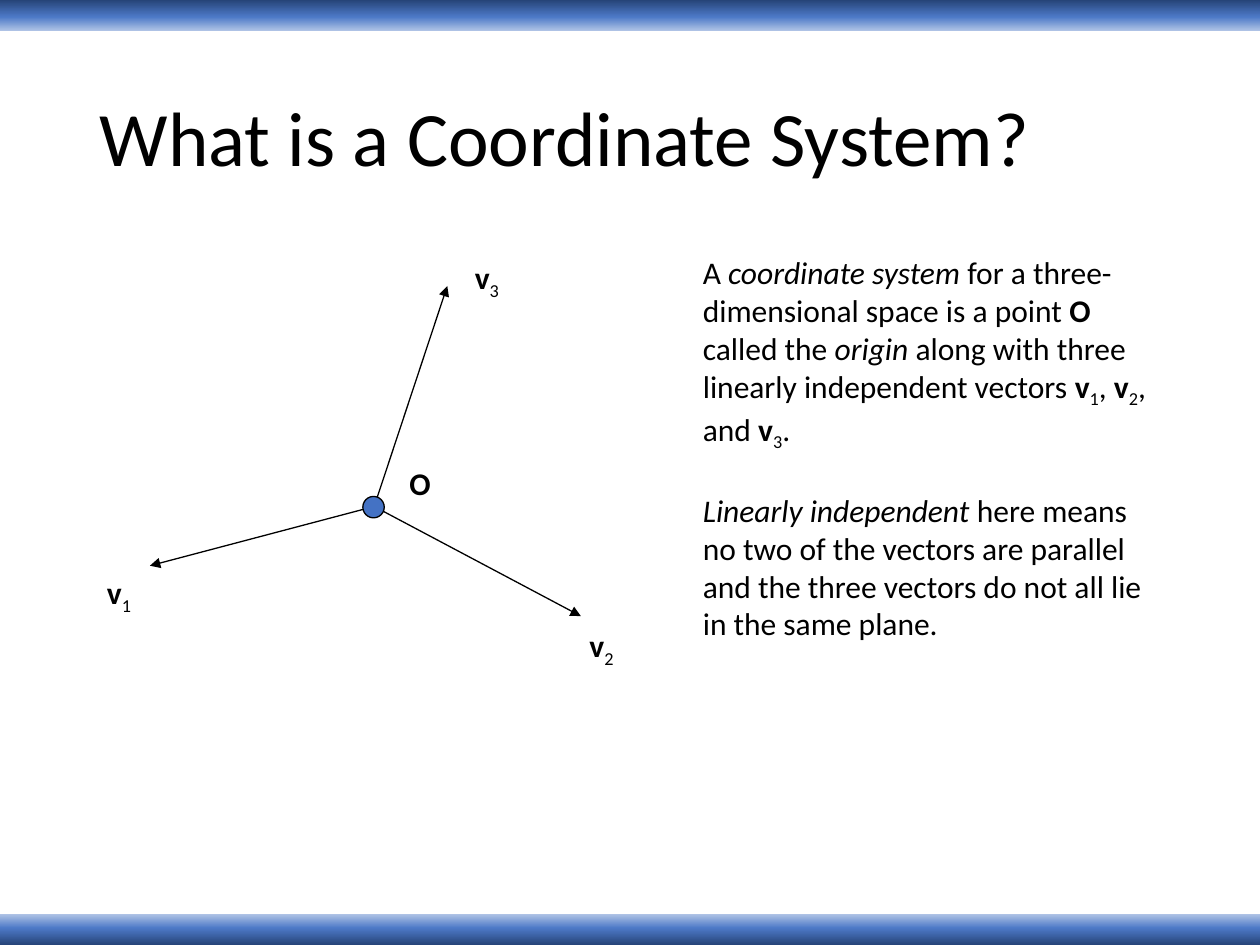
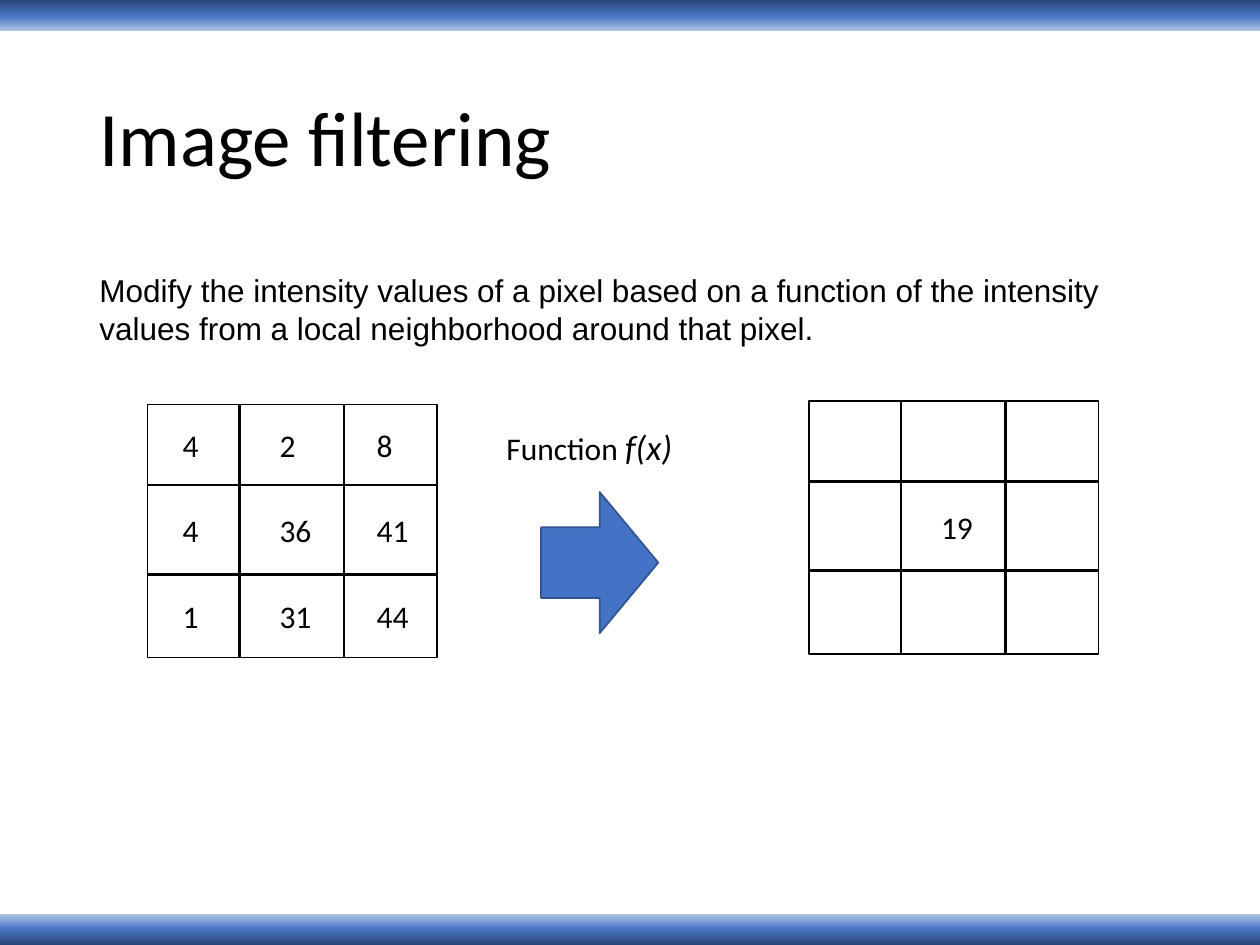
from copy import deepcopy
from pptx import Presentation
from pptx.dml.color import RGBColor
from pptx.enum.shapes import MSO_CONNECTOR, MSO_SHAPE
from pptx.enum.text import MSO_ANCHOR, MSO_AUTO_SIZE, PP_ALIGN
from pptx.util import Inches, Pt
from pptx.oxml import parse_xml
from pptx.oxml.ns import nsdecls

BLACK = RGBColor(0x00, 0x00, 0x00)
BLUE = RGBColor(0x44, 0x72, 0xC4)
ARROW_EDGE = RGBColor(0x32, 0x54, 0x91)
BAND_STOPS = [
    (0, RGBColor(0xB4, 0xC7, 0xE7)),
    (0.46, RGBColor(0x4D, 0x79, 0xC7)),
    (1, RGBColor(0x26, 0x44, 0x78)),
]
BODY_FONT = "Calibri"


def add_text(slide, box, paragraphs, wrap=True, font_name=BODY_FONT):
    frame = slide.shapes.add_textbox(*map(Inches, box)).text_frame
    frame.word_wrap = wrap
    frame.auto_size = MSO_AUTO_SIZE.SHAPE_TO_FIT_TEXT
    for index, pieces in enumerate(paragraphs):
        paragraph = frame.add_paragraph() if index else frame.paragraphs[0]
        if index:
            paragraph.space_before = Pt(22)
        paragraph.font.name = font_name
        paragraph.font.size = Pt(18)
        paragraph.font.color.rgb = BLACK
        for words, style in pieces:
            run = paragraph.add_run()
            run.text = words
            if style == "bold":
                run.font.bold = True
            elif style == "italic":
                run.font.italic = True
            elif style == "sub":
                run.font.element.set("baseline", "-25000") if hasattr(run.font, "element") else run._r.get_or_add_rPr().set("baseline", "-25000")
    return frame


def add_line(slide, start, end, width, arrow=False):
    line = slide.shapes.add_connector(MSO_CONNECTOR.STRAIGHT, *map(Inches, start + end))
    line.line.color.rgb = BLACK
    line.line.width = Pt(width)
    if arrow:
        line.line._get_or_add_ln().append(
            parse_xml(f'<a:tailEnd {nsdecls("a")} type="triangle"/>'))
    line.element.spPr.append(parse_xml(f'<a:effectLst {nsdecls("a")}/>'))


prs = Presentation()
prs.slide_width = Inches(10)
prs.slide_height = Inches(7.5)
title_only = prs.slide_layouts[5]

slides = []
for heading in ("What is a Coordinate System?", "Image filtering"):
    slide = prs.slides.add_slide(title_only)
    title = slide.shapes.title
    title.left, title.top, title.width, title.height = map(Inches, (0.69, 0.4, 8.62, 1.45))
    title.text_frame.text = heading
    title.text_frame.vertical_anchor = MSO_ANCHOR.MIDDLE
    paragraph = title.text_frame.paragraphs[0]
    paragraph.alignment = PP_ALIGN.LEFT
    paragraph.line_spacing = 0.9
    paragraph.font.name = BODY_FONT
    paragraph.font.size = Pt(44)
    paragraph.font.color.rgb = BLACK
    slides.append(slide)
coordinates, filtering = slides

for number, (top, rotation) in enumerate([(0, 0), (7.25, 180)]):
    band = coordinates.shapes.add_shape(
        MSO_SHAPE.RECTANGLE, 0, Inches(top), prs.slide_width, Inches(0.25))
    band.rotation = rotation
    band.shadow.inherit = False
    band.line.fill.background()
    band.fill.gradient()
    band.fill.gradient_angle = 90
    stop_list = band.element.xpath(".//a:gsLst")[0]
    stop_list.append(deepcopy(stop_list[0]))
    for stop, (position, color) in zip(band.fill.gradient_stops, BAND_STOPS):
        stop.position = position
        stop.color.rgb = color
    band.element.nvSpPr.cNvPr.set("id", str(101 + number))
    prs.slide_master.shapes.element.insert(2 + number, band.element)

vectors = [
    ("3", (3.55, 2.27), (3.67, 2)),
    ("1", (1.19, 4.49), (0.75, 4.5)),
    ("2", (4.61, 4.89), (4.58, 4.92)),
]
for subscript, tip, label_corner in vectors:
    add_line(coordinates, (2.97, 4.02), tip, 0.75, arrow=True)
    add_text(coordinates, label_corner + (0.48, 0.5),
             [[("v", "bold"), (subscript, "sub")]], wrap=False)

origin = coordinates.shapes.add_shape(
    MSO_SHAPE.OVAL, Inches(2.88), Inches(3.94), Inches(0.17), Inches(0.17))
origin.shadow.inherit = False
origin.fill.solid()
origin.fill.fore_color.rgb = BLUE
origin.line.color.rgb = BLACK
origin.line.width = Pt(0.75)
add_text(coordinates, (3.15, 3.63, 0.46, 0.5), [[("O", "bold")]], wrap=False)

add_text(coordinates, (5.48, 1.96, 3.77, 4.89), [
    [("A ", ""), ("coordinate system", "italic"),
     (" for a three-dimensional space is a point ", ""), ("O", "bold"),
     (" called the ", ""), ("origin", "italic"),
     (" along with three linearly independent vectors ", ""),
     ("v", "bold"), ("1", "sub"), (", ", ""), ("v", "bold"), ("2", "sub"),
     (", and ", ""), ("v", "bold"), ("3", "sub"), (".", "")],
    [("Linearly independent", "italic"),
     (" here means no two of the vectors are parallel and the three vectors "
      "do not all lie in the same plane.", "")],
])

add_text(filtering, (0.69, 2.1, 8.58, 0.71), [[
    ("Modify the intensity values of a pixel based on a function of the intensity "
     "values from a local neighborhood around that pixel.", "")]], font_name="Arial")

GRID_WIDTH, GRID_HEIGHT = 2.3, 2.01
pixel_grids = [
    (1.17, 3.21, [["4", "2", "8"], ["4", "36", "41"], ["1", "31", "44"]]),
    (6.42, 3.18, [["", "", ""], ["", "19", ""], ["", "", ""]]),
]
for left, top, values in pixel_grids:
    outline = filtering.shapes.add_shape(
        MSO_SHAPE.RECTANGLE, *map(Inches, (left, top, GRID_WIDTH, GRID_HEIGHT)))
    outline.shadow.inherit = False
    outline.fill.background()
    outline.line.color.rgb = BLACK
    outline.line.width = Pt(1)
    for x in (left + 0.73, left + 1.56):
        add_line(filtering, (x, top), (x, top + GRID_HEIGHT), 1.5)
    for y in (top + 0.64, top + 1.35):
        add_line(filtering, (left, y), (left + GRID_WIDTH, y), 1.5)
    for row, row_values in enumerate(values):
        for column, value in enumerate(row_values):
            if value:
                corner = (left + 0.18 + 0.77 * column, top + 0.12 + 0.68 * row)
                add_text(filtering, corner + (0.48, 0.4), [[(value, "")]])

function_arrow = filtering.shapes.add_shape(
    MSO_SHAPE.DOWN_ARROW, Inches(4.2), Inches(4), Inches(1.12), Inches(0.93))
function_arrow.rotation = 270
function_arrow.shadow.inherit = False
function_arrow.fill.solid()
function_arrow.fill.fore_color.rgb = BLUE
function_arrow.line.color.rgb = ARROW_EDGE
function_arrow.line.width = Pt(1)

function_label = add_text(filtering, (3.92, 3.33, 1.68, 0.44),
                          [[("Function ", ""), ("f(x)", "italic")]])
function_label.paragraphs[0].runs[1].font.size = Pt(20)

prs.save("out.pptx")
